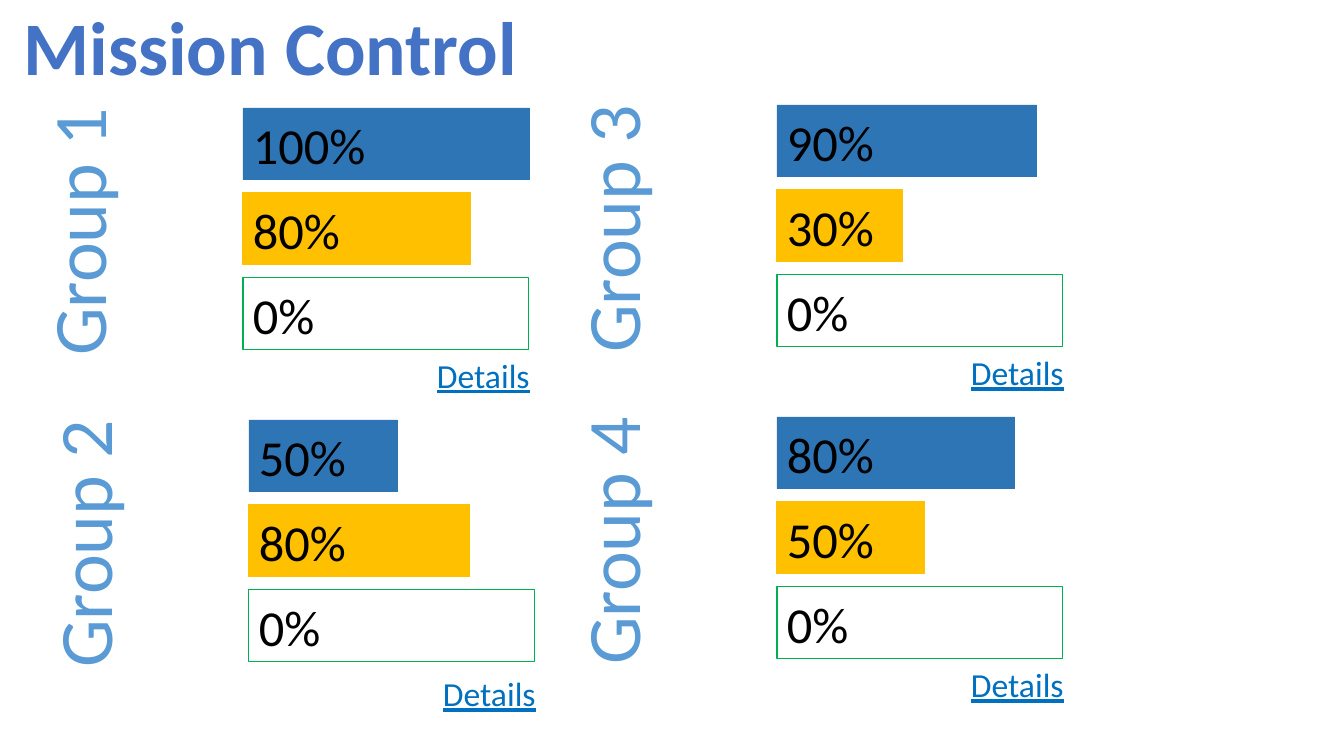
from lxml import etree
from pptx import Presentation
from pptx.dml.color import RGBColor
from pptx.enum.shapes import MSO_SHAPE
from pptx.enum.text import MSO_ANCHOR, MSO_AUTO_SIZE, PP_ALIGN
from pptx.oxml.ns import qn
from pptx.util import Pt

RECTANGLE = MSO_SHAPE.RECTANGLE
TOP, MIDDLE = MSO_ANCHOR.TOP, MSO_ANCHOR.MIDDLE
LEFT, CENTER = PP_ALIGN.LEFT, PP_ALIGN.CENTER
FIT_SHAPE = MSO_AUTO_SIZE.SHAPE_TO_FIT_TEXT

SLIDE_WIDTH, SLIDE_HEIGHT = 1344, 756
EMU_PER_PX = 12192000 / SLIDE_WIDTH
FONT = "Calibri"
BLUE, YELLOW, GREEN = "2E75B6", "FFC000", "00B050"
BAR_HEIGHT, BAR_PITCH, FULL_WIDTH = 72, 85, 286
LABEL_WIDTH, LABEL_HEIGHT = 270, 102
LABEL_CENTER_X, LABEL_CENTER_Y = -166, 124
DETAILS_LEFT, DETAILS_WIDTH, DETAILS_HEIGHT = 184, 253, 50

GROUPS = [
    ("Group 1", 243, 108, 242, ("100%", 287), ("80%", 228)),
    ("Group 3", 777, 105, 242, ("90%", 260), ("30%", 126)),
    ("Group 4", 777, 417, 242, ("80%", 238), ("50%", 148)),
    ("Group 2", 249, 420, 248, ("50%", 149), ("80%", 221)),
]


def px(*lengths):
    return [round(length * EMU_PER_PX) for length in lengths]


def color(value):
    return RGBColor.from_string(value)


def write(shape, text, size, hex_color, alignment=LEFT, anchor=TOP, wrap=True):
    frame = shape.text_frame
    frame.word_wrap = wrap
    frame.auto_size = FIT_SHAPE
    frame.vertical_anchor = anchor
    paragraph = frame.paragraphs[0]
    paragraph.alignment = alignment
    run = paragraph.add_run()
    run.text = text
    run.font.name = FONT
    run.font.size = Pt(size)
    run.font.color.rgb = color(hex_color)
    return run


def add_title(slide, left, top, width, height):
    title = slide.shapes.title
    title.left, title.top, title.width, title.height = px(left, top, width, height)
    run = write(title, "Mission Control", 54, "4472C4", CENTER, wrap=False)
    run.font.bold = True
    outline = etree.Element(qn("a:ln"), w=str(Pt(0.75)))
    fill = etree.SubElement(outline, qn("a:solidFill"))
    etree.SubElement(fill, qn("a:srgbClr"), val="FFFFFF")
    run.font._element.insert(0, outline)


def add_bar(shapes, left, top, width, text, fill, line):
    bar = shapes.add_shape(RECTANGLE, *px(left, top, width, BAR_HEIGHT))
    bar.shadow.inherit = False
    if fill:
        bar.fill.solid()
        bar.fill.fore_color.rgb = color(fill)
    else:
        bar.fill.background()
    if line:
        bar.line.color.rgb = color(line)
        bar.line.width = Pt(0.75)
    else:
        bar.line.fill.background()
    write(bar, text, 36, "000000", anchor=MIDDLE)


def add_group(slide, name, left, top, details_top, blue, yellow):
    shapes = slide.shapes.add_group_shape().shapes
    label = shapes.add_textbox(*px(
        left + LABEL_CENTER_X - LABEL_WIDTH / 2,
        top + LABEL_CENTER_Y - LABEL_HEIGHT / 2,
        LABEL_WIDTH, LABEL_HEIGHT))
    label.rotation = 270
    write(label, name, 54, "5B9BD5", CENTER, wrap=False)

    bars = [(*blue, BLUE, None), (*yellow, YELLOW, YELLOW),
            ("0%", FULL_WIDTH, None, GREEN)]
    for row, (text, width, fill, line) in enumerate(bars):
        add_bar(shapes, left, top + row * BAR_PITCH, width, text, fill, line)

    details = slide.shapes.add_textbox(*px(
        left + DETAILS_LEFT, top + details_top, DETAILS_WIDTH, DETAILS_HEIGHT))
    write(details, "Details", 24, "0070C0").font.underline = True


def main():
    presentation = Presentation()
    presentation.slide_width, presentation.slide_height = px(SLIDE_WIDTH, SLIDE_HEIGHT)
    slide = presentation.slides.add_slide(presentation.slide_layouts[5])
    add_title(slide, 11, -5, 519, 102)
    for group in GROUPS:
        add_group(slide, *group)
    presentation.save("out.pptx")


if __name__ == "__main__":
    main()
